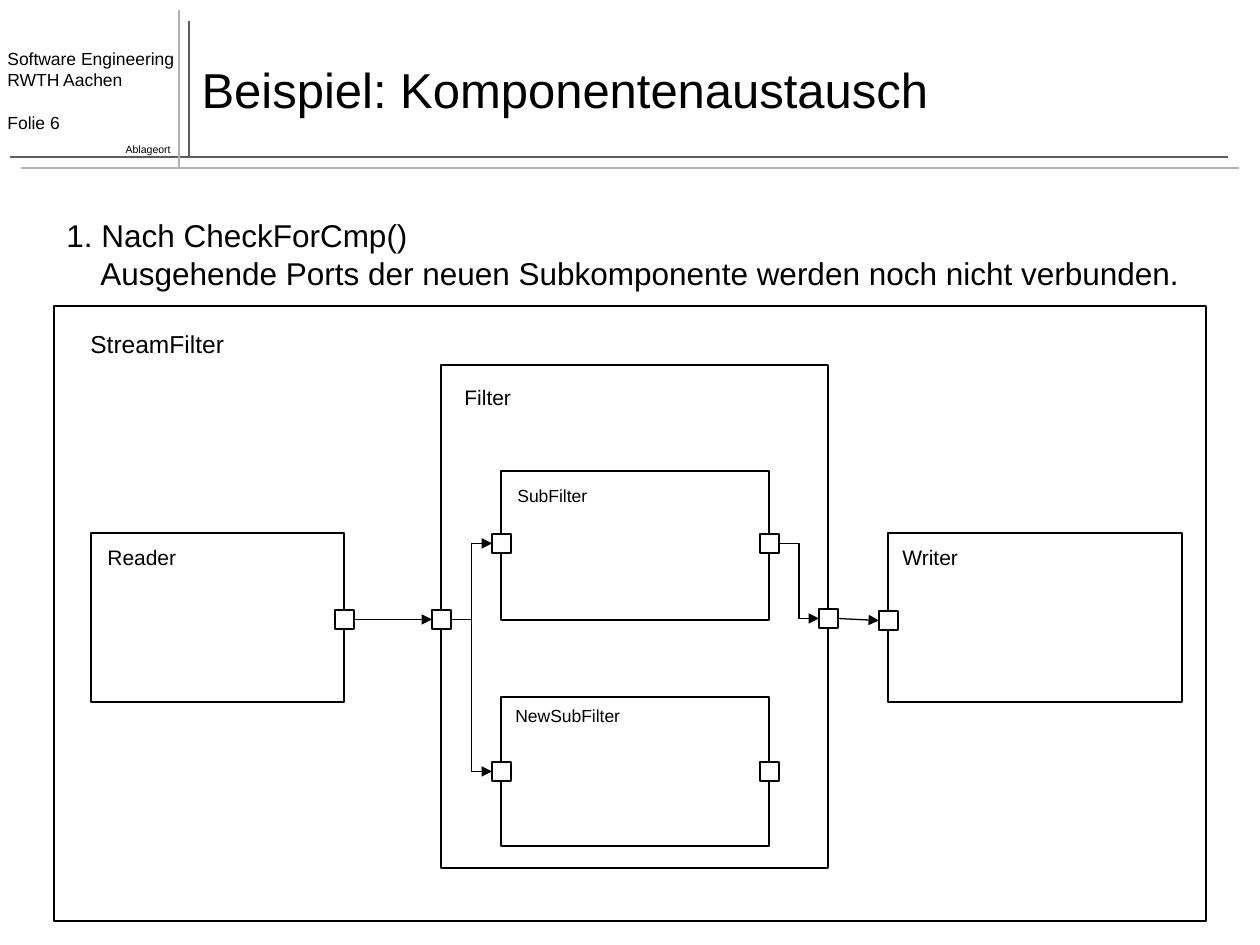
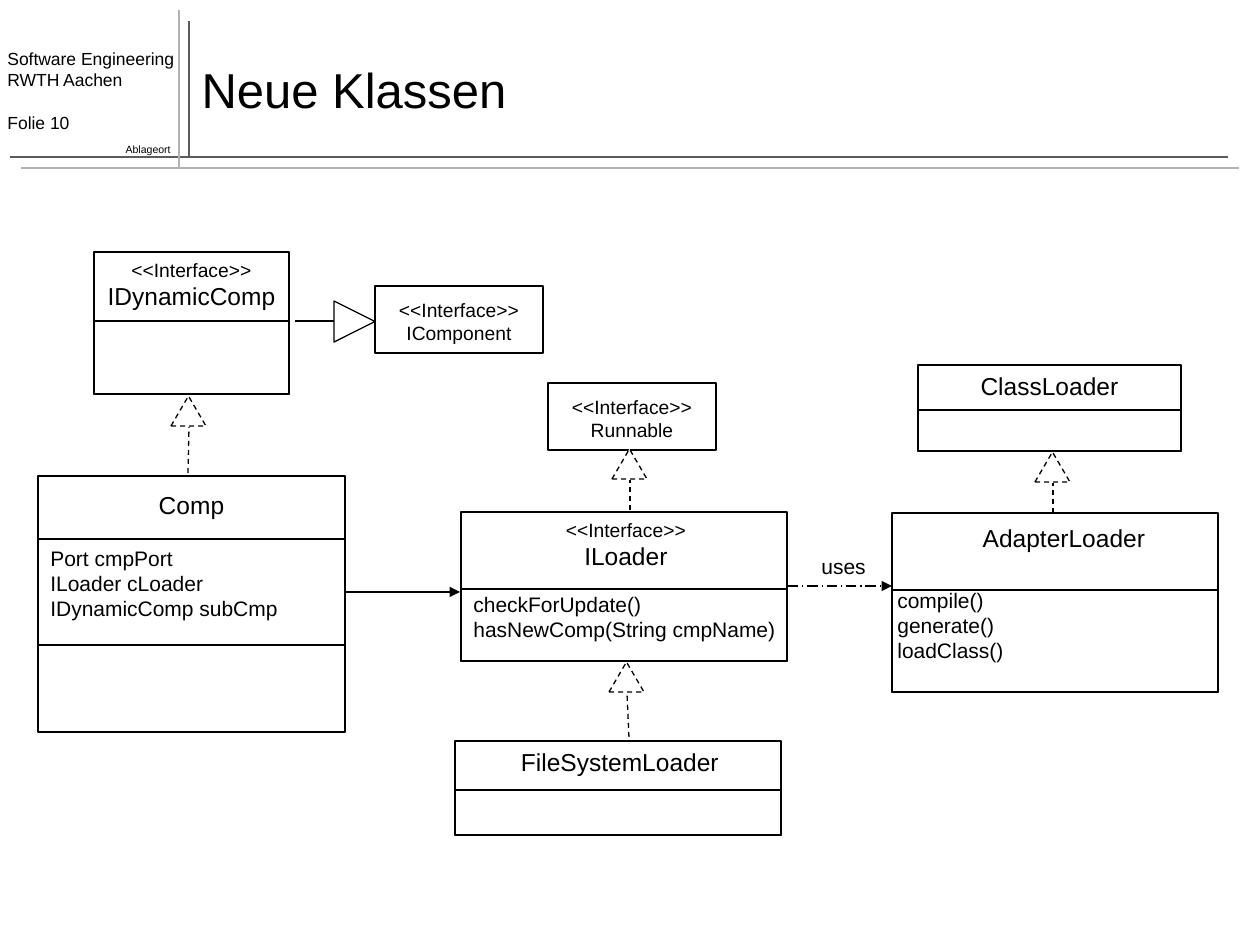
from pptx import Presentation
from pptx.dml.color import RGBColor
from pptx.enum.dml import MSO_LINE
from pptx.enum.shapes import MSO_CONNECTOR as CXN, MSO_SHAPE as SHAPE
from pptx.enum.text import MSO_ANCHOR as ANCHOR, MSO_AUTO_SIZE as FIT, PP_ALIGN as ALIGN
from pptx.oxml.ns import qn
from pptx.util import Pt
from lxml.etree import SubElement

SCALE = 914400 / 126
FONT = "Arial"
COLORS = {"ink": "000000", "paper": "FFFFFF", "dark": "5C5C5C", "light": "B2B2B2"}
TITLE_FRAME = {"word_wrap": True, "vertical_anchor": ANCHOR.MIDDLE, "auto_size": FIT.NONE}
PORT = 19
LEFT, RIGHT = 1, 3


def px(n):
    """Turn px into EMU."""
    return round(n * SCALE)


def rgb(name):
    """Look up a colour by name."""
    return RGBColor.from_string(COLORS[name])


def write(tf, lines, align=ALIGN.LEFT):
    """Fill a text frame with (text, size, extra paragraph formats) lines."""
    for i, (text, size, formats) in enumerate(lines):
        p = tf.paragraphs[0] if i == 0 else tf.add_paragraph()
        for key, value in {"alignment": align, **formats}.items():
            setattr(p, key, value)
        r = p.add_run()
        r.text = text
        for key, value in {"name": FONT, "size": Pt(size), "bold": False}.items():
            setattr(r.font, key, value)
        r.font.color.rgb = rgb("ink")


def label(s, box, lines, align=ALIGN.LEFT, wrap=True):
    """Add a text box."""
    tf = s.shapes.add_textbox(*map(px, box)).text_frame
    tf.word_wrap = wrap
    write(tf, lines, align)
    return tf


def outline(s, box, kind=SHAPE.RECTANGLE, filled=True, dash=None):
    """Add a thinly outlined preset shape."""
    sp = s.shapes.add_shape(kind, *map(px, box))
    sp.shadow.inherit = False
    if filled:
        sp.fill.solid()
        sp.fill.fore_color.rgb = rgb("paper")
    else:
        sp.fill.background()
    sp.line.color.rgb = rgb("ink")
    sp.line.width = Pt(0.75)
    sp.line.dash_style = dash
    return sp


def line(s, start, end, color="ink", width=0.75, dash=None, arrow=False, kind=CXN.STRAIGHT):
    """Add a connector, with an arrowhead at its end if asked."""
    c = s.shapes.add_connector(kind, *map(px, (*start, *end)))
    c.line.color.rgb = rgb(color)
    c.line.width = Pt(width)
    c.line.dash_style = dash
    spPr = c._element.spPr
    if arrow:
        SubElement(spPr.find(qn("a:ln")), qn("a:tailEnd"), type="triangle")
    SubElement(spPr, qn("a:effectLst"))
    return c


def framed_slide(prs, title, number):
    """Add a slide with the shared header and its title."""
    s = prs.slides.add_slide(prs.slide_layouts[5])
    for start, end, color in (
        ((189, 157), (189, 21), "dark"),
        ((10, 157), (1228, 157), "dark"),
        ((21, 168), (1239, 168), "light"),
        ((179, 168), (179, 10), "light"),
    ):
        line(s, start, end, color, 1)
    label(s, (-5, 42, 194, 98), [
        ("Software Engineering", 10, {}),
        ("RWTH Aachen", 10, {}),
        (f"Folie {number}", 10, {"space_before": Pt(12.5)}),
    ])
    label(s, (82, 137, 101, 25), [("Ablageort", 6, {})], ALIGN.RIGHT)
    sp = s.shapes.title
    for key, value in zip(("left", "top", "width", "height"), (189, 31, 1050, 116)):
        setattr(sp, key, px(value))
    for key, value in TITLE_FRAME.items():
        setattr(sp.text_frame, key, value)
    write(sp.text_frame, [(title, 28, {})])
    return s


def component(s, name, box, size, dx, dy):
    """Draw a component with its name set in by (dx, dy)."""
    x, y, w, h = box
    outline(s, box)
    label(s, (x + dx, y + dy, min(w - dx, 210), 38), [(name, size, {})])


def port(s, box, side, dy):
    """Draw a port centred on a component's side, dy below its top."""
    x, y, w, h = box
    edge = x if side == LEFT else x + w
    return outline(s, (edge - PORT // 2, y + dy - PORT // 2, PORT, PORT))


def exchange_slide(prs):
    """Build the component diagram of the exchange example."""
    s = framed_slide(prs, "Beispiel: Komponentenaustausch", 6)
    tf = label(s, (54, 210, 1160, 88), [
        ("1. Nach CheckForCmp()", 18, {}),
        ("Ausgehende Ports der neuen Subkomponente werden noch nicht verbunden.", 18, {}),
    ])
    tf.paragraphs[1]._p.get_or_add_pPr().set("marL", str(px(34)))

    boxes = {}
    for name, box, size, dx, dy in (
        ("StreamFilter", (54, 306, 1152, 615), 14, 24, 17),
        ("Reader", (91, 533, 253, 169), 12, 4, 5),
        ("Filter", (441, 365, 387, 503), 12, 11, 13),
        ("Writer", (888, 533, 294, 169), 12, 2, 5),
        ("SubFilter", (501, 471, 268, 149), 10, 4, 8),
        ("NewSubFilter", (501, 697, 268, 149), 10, 2, 2),
    ):
        boxes[name] = box
        component(s, name, box, size, dx, dy)

    ports = {}
    for name, side, dy in (
        ("Reader", RIGHT, 86),
        ("Filter", LEFT, 254),
        ("SubFilter", LEFT, 72),
        ("SubFilter", RIGHT, 72),
        ("Filter", RIGHT, 253),
        ("Writer", LEFT, 87),
        ("NewSubFilter", LEFT, 74),
        ("NewSubFilter", RIGHT, 74),
    ):
        ports[name, side] = port(s, boxes[name], side, dy)

    for source, target, kind in (
        (("Reader", RIGHT), ("Filter", LEFT), CXN.STRAIGHT),
        (("Filter", RIGHT), ("Writer", LEFT), CXN.STRAIGHT),
        (("Filter", LEFT), ("SubFilter", LEFT), CXN.ELBOW),
        (("Filter", LEFT), ("NewSubFilter", LEFT), CXN.ELBOW),
        (("SubFilter", RIGHT), ("Filter", RIGHT), CXN.ELBOW),
    ):
        c = line(s, (0, 0), (0, 0), arrow=True, kind=kind)
        c.begin_connect(ports[source], RIGHT)
        c.end_connect(ports[target], LEFT)


def class_box(s, box, name, size=14, interface=False, head=(0, 0), split=None,
              depth=None, members=(), inset=(0, 0)):
    """Draw a class with its heading and, below split, its members."""
    x, y, w, h = box
    outline(s, box, filled=False)
    lines = [("<<Interface>>", 11, {})] if interface else []
    lines.append((name, size, {}))
    label(s, (x + head[0], y + head[1], w, 24 * len(lines) + 19), lines, ALIGN.CENTER, wrap=False)
    if split:
        outline(s, (x, y + split, w, depth or h - split), filled=False)
    if members:
        dx, dy = inset
        label(s, (x + dx, y + split + dy, w + 18, 25 * len(members) + 13),
              [(member, 12, {}) for member in members])


def realization(s, tip, tail):
    """Draw a dashed line from tail to a hollow triangle at tip."""
    x, y = tip
    line(s, tail, (x, y + 31), dash=MSO_LINE.DASH)
    outline(s, (x - 18, y, 35, 30), SHAPE.ISOSCELES_TRIANGLE, dash=MSO_LINE.DASH)


def classes_slide(prs):
    """Build the class diagram."""
    s = framed_slide(prs, "Neue Klassen", 10)
    class_box(s, (38, 476, 307, 256), "Comp", head=(0, 8), split=63, depth=106,
              members=("Port cmpPort", "ILoader cLoader", "IDynamicComp subCmp"))
    class_box(s, (94, 252, 195, 142), "IDynamicComp", interface=True, split=69)
    class_box(s, (375, 286, 168, 67), "IComponent", 11, True, (0, 6))
    class_box(s, (548, 383, 168, 67), "Runnable", 11, True, (0, 6))
    class_box(s, (461, 512, 326, 149), "ILoader", interface=True, head=(2, 0), split=77,
              members=("checkForUpdate()", "hasNewComp(String cmpName)"), inset=(0, -4))
    class_box(s, (892, 513, 326, 179), "AdapterLoader", head=(9, 4), split=77,
              members=("compile()", "generate()", "loadClass()"), inset=(-7, -9))
    class_box(s, (455, 741, 326, 94), "FileSystemLoader", head=(2, 0), split=49)
    class_box(s, (918, 365, 263, 86), "ClassLoader", split=45)

    for tip, tail in (
        ((189, 396), (188, 473)),
        ((630, 449), (630, 510)),
        ((627, 662), (629, 737)),
        ((1053, 452), (1053, 513)),
    ):
        realization(s, tip, tail)
    line(s, (295, 321), (334, 321))
    outline(s, (334, 301, 41, 41), SHAPE.ISOSCELES_TRIANGLE).rotation = 90
    line(s, (345, 592), (460, 592), arrow=True)
    line(s, (788, 586), (892, 586), dash=MSO_LINE.LONG_DASH_DOT, arrow=True)
    label(s, (809, 547, 82, 38), [("uses", 12, {})])


def main():
    """Build and save the presentation."""
    prs = Presentation()
    prs.slide_width, prs.slide_height = px(1260), px(945)
    exchange_slide(prs)
    classes_slide(prs)
    prs.save("out.pptx")


if __name__ == "__main__":
    main()
